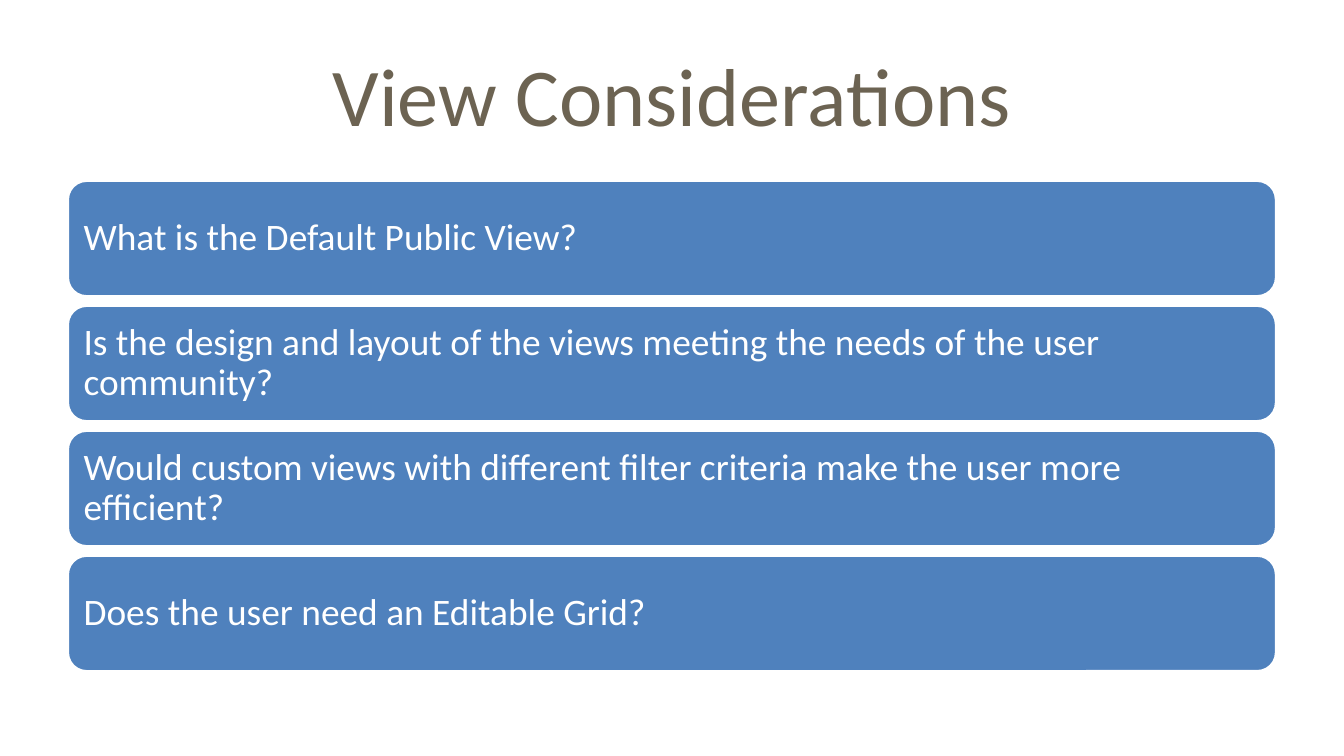
import pptx
import pptx.util
import pptx.dml.color
import pptx.enum.shapes
import pptx.enum.text

Inches = pptx.util.Inches
Pt = pptx.util.Pt
ALIGN = pptx.enum.text.PP_ALIGN
MIDDLE = pptx.enum.text.MSO_ANCHOR.MIDDLE

ITEMS = [
    "What is the Default Public View?",
    "Is the design and layout of the views meeting the needs of the user community?",
    "Would custom views with different filter criteria make the user more efficient?",
    "Does the user need an Editable Grid?",
]
PAGE = 10
LEFT, TOP, WIDTH, HEIGHT, PITCH = 0.5, 1.34, 9, 0.87, 0.93


def color(value):
    return pptx.dml.color.RGBColor.from_string(value)


def apply(target, values):
    for name, value in values.items():
        setattr(target, name, value)


def write(shape, text, size, tint, align, inset):
    frame = shape.text_frame
    frame.text = text
    apply(frame, {
        "word_wrap": True,
        "vertical_anchor": MIDDLE,
        "auto_size": pptx.enum.text.MSO_AUTO_SIZE.NONE,
        "margin_left": inset,
        "margin_right": inset,
        "margin_top": inset,
        "margin_bottom": inset,
    })
    line = frame.paragraphs[0]
    line.alignment = align
    apply(line.font, {"name": "Calibri", "size": Pt(size)})
    line.font.color.rgb = color(tint)
    return line


def add_title(slide, text):
    title = slide.shapes.title
    apply(title, {
        "left": Inches(LEFT),
        "top": Inches(0.23),
        "width": Inches(WIDTH),
        "height": Inches(0.94),
    })
    write(title, text, 44, "6C6352", ALIGN.CENTER, Inches(0.05))


def add_bar(slide, text, top):
    bar = slide.shapes.add_shape(
        pptx.enum.shapes.MSO_SHAPE.ROUNDED_RECTANGLE,
        Inches(LEFT), Inches(top), Inches(WIDTH), Inches(HEIGHT))
    bar.shadow.inherit = False
    bar.fill.solid()
    bar.fill.fore_color.rgb = color("4F81BD")
    bar.line.color.rgb = color("FFFFFF")
    bar.line.width = Pt(2)
    line = write(bar, text, 20, "FFFFFF", ALIGN.LEFT, Inches(0.08))
    line.line_spacing = 0.9


def main():
    deck = pptx.Presentation()
    apply(deck, {
        "slide_width": Inches(PAGE),
        "slide_height": Inches(PAGE * 9 / 16),
    })
    slide = deck.slides.add_slide(deck.slide_layouts[5])
    add_title(slide, "View Considerations")
    for row, text in enumerate(ITEMS):
        add_bar(slide, text, TOP + row * PITCH)
    deck.save("out.pptx")


if __name__ == "__main__":
    main()
